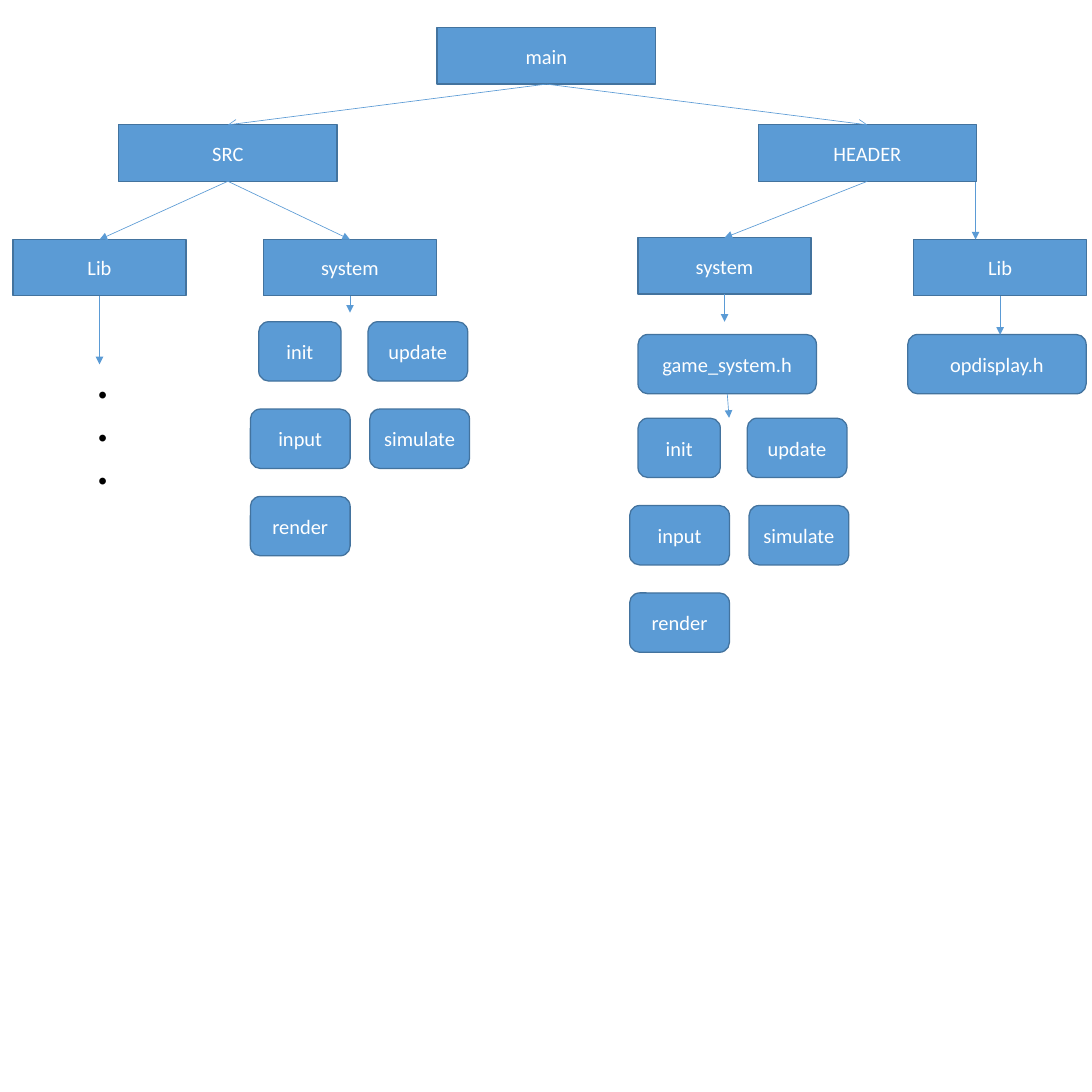
from lxml import etree
from pptx import Presentation
from pptx.dml.color import RGBColor
from pptx.enum.shapes import MSO_CONNECTOR, MSO_SHAPE
from pptx.enum.text import MSO_ANCHOR, MSO_AUTO_SIZE, PP_ALIGN
from pptx.oxml.ns import qn
from pptx.util import Cm, Pt

COLORS = {"fill": "5B9BD5", "border": "43739E", "label": "FFFFFF", "dots": "000000"}
FONT = "Calibri"
FOLDER_HEIGHT, FILE_HEIGHT = 1.55, 1.63
TOP, BOTTOM = 0, 2  # connection sites of a box


def color(name):
    """Return the named colour."""
    return RGBColor.from_string(COLORS[name])


def style_text(paragraph, size, color_name, bold=False):
    """Set the font of a paragraph."""
    paragraph.font.name = FONT
    paragraph.font.size = Pt(size)
    paragraph.font.bold = bold
    paragraph.font.color.rgb = color(color_name)


def add_box(slide, kind, label, left, top, width, height):
    """Add a filled box with a centred label."""
    box = slide.shapes.add_shape(kind, Cm(left), Cm(top), Cm(width), Cm(height))
    box.shadow.inherit = False
    box.fill.solid()
    box.fill.fore_color.rgb = color("fill")
    box.line.color.rgb = color("border")
    box.line.width = Pt(1)
    frame = box.text_frame
    frame.word_wrap = True
    frame.vertical_anchor = MSO_ANCHOR.MIDDLE
    frame.margin_left = frame.margin_right = Cm(0.23)
    frame.margin_top = frame.margin_bottom = Cm(0.1)
    paragraph = frame.paragraphs[0]
    paragraph.text = label
    paragraph.alignment = PP_ALIGN.CENTER
    style_text(paragraph, 15.9, "label")
    return box


def add_folder(slide, label, left, top, width=4.75):
    """Add a square-cornered box for a folder."""
    return add_box(slide, MSO_SHAPE.RECTANGLE, label, left, top, width, FOLDER_HEIGHT)


def add_file(slide, label, left, top, width=4.9):
    """Add a rounded box for a file or a function."""
    return add_box(slide, MSO_SHAPE.ROUNDED_RECTANGLE, label, left, top, width, FILE_HEIGHT)


def add_functions(slide, left, top):
    """Add the five game loop functions below a system box."""
    row_step = 2.4
    for label, column, row, width in (
        ("init", 0.23, 0, 2.26),
        ("update", 3.23, 0, 2.74),
        ("input", 0, 1, 2.74),
        ("simulate", 3.28, 1, 2.74),
        ("render", 0, 2, 2.74),
    ):
        add_file(slide, label, left + column, top + row * row_step, width)


def add_arrow(slide, start, end, head="triangle"):
    """Add a thin arrow between two points given as lengths."""
    arrow = slide.shapes.add_connector(MSO_CONNECTOR.STRAIGHT, *start, *end)
    arrow.line.color.rgb = color("fill")
    arrow.line.width = Pt(0.5)
    etree.SubElement(arrow.line._get_or_add_ln(), qn("a:tailEnd"), type=head)
    etree.SubElement(arrow._element.spPr, qn("a:effectLst"))
    return arrow


def link(slide, parent, child, head="triangle"):
    """Glue an arrow from the bottom of a parent to the top of its child."""
    arrow = add_arrow(slide, (0, 0), (0, 0), head)
    arrow.begin_connect(parent, BOTTOM)
    arrow.end_connect(child, TOP)


def drop(slide, parent, length, shift=0):
    """Add an arrow that leaves the bottom of a box and ends free."""
    x, y = parent.left + parent.width // 2, parent.top + parent.height
    add_arrow(slide, (x, y), (x + Cm(shift), y + Cm(length)))


def add_dots(slide, left, top, width, height):
    """Add the vertical dots that stand for further files."""
    frame = slide.shapes.add_textbox(Cm(left), Cm(top), Cm(width), Cm(height)).text_frame
    frame.word_wrap = True
    frame.auto_size = MSO_AUTO_SIZE.SHAPE_TO_FIT_TEXT
    frame._txBody.bodyPr.set("vert", "eaVert")
    paragraph = frame.paragraphs[0]
    run = paragraph.add_run()
    run.text = ". . ."
    style_text(paragraph, 35.4, "dots", bold=True)
    run._r.get_or_add_rPr().set("spc", "800")


def main():
    """Build the project structure slide."""
    deck = Presentation()
    deck.slide_width = deck.slide_height = Cm(30)
    slide = deck.slides.add_slide(deck.slide_layouts[6])

    root = add_folder(slide, "main", 12.01, 0.76, 6)
    source = add_folder(slide, "SRC", 3.26, 3.43, 6)
    header = add_folder(slide, "HEADER", 20.83, 3.43, 6)
    source_lib = add_folder(slide, "Lib", 0.36, 6.58)
    source_system = add_folder(slide, "system", 7.24, 6.58)
    header_system = add_folder(slide, "system", 17.53, 6.53)
    header_lib = add_folder(slide, "Lib", 25.1, 6.58)
    game_system = add_file(slide, "game_system.h", 17.53, 9.19)
    add_file(slide, "opdisplay.h", 24.94, 9.19)
    add_functions(slide, 6.88, 8.84)
    add_functions(slide, 17.3, 11.49)
    add_dots(slide, 2.08, 10.46, 2.03, 4.78)

    for branch in (source, header):
        link(slide, root, branch, "arrow")
    for parent, child in (
        (source, source_lib),
        (source, source_system),
        (header, header_system),
    ):
        link(slide, parent, child)
    for parent, length, shift in (
        (source_lib, 1.88, 0),
        (source_system, 0.46, 0),
        (header_system, 0.76, 0),
        (header_lib, 1.07, 0),
        (game_system, 0.66, 0.05),
    ):
        drop(slide, parent, length, shift)
    add_arrow(slide, (Cm(26.8), Cm(5)), (Cm(26.8), header_lib.top))

    deck.save("out.pptx")


main()
